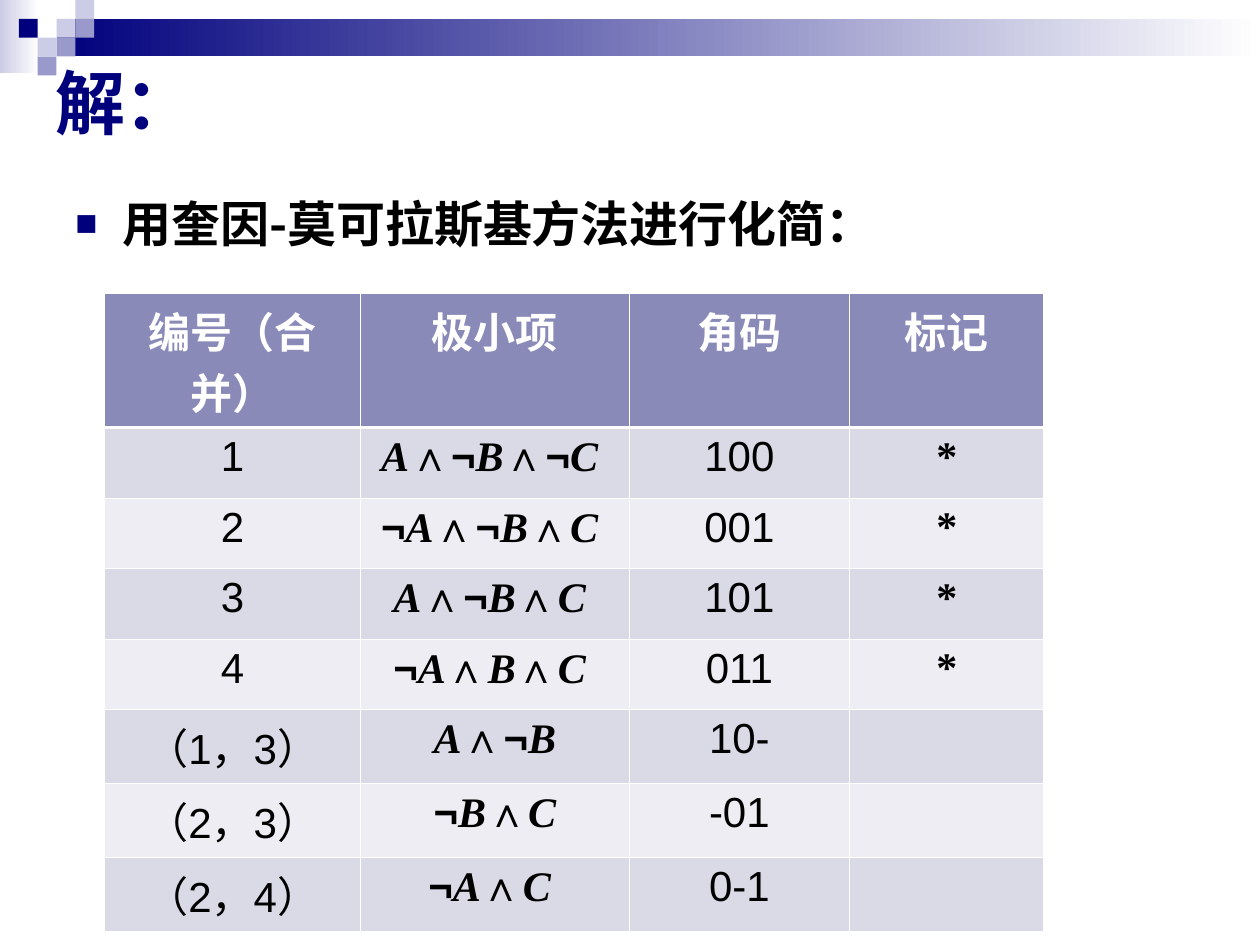
from dataclasses import dataclass
from itertools import groupby

from lxml.etree import SubElement
from pptx import Presentation
from pptx.dml.color import RGBColor
from pptx.enum.shapes import MSO_SHAPE
from pptx.enum.text import MSO_ANCHOR, PP_ALIGN
from pptx.oxml.ns import qn
from pptx.util import Cm, Pt


@dataclass(frozen=True)
class Theme:
    navy: str = "00007D"
    mid: str = "9999CC"
    pale: str = "CCCCE6"
    white: str = "FFFFFF"
    black: str = "000000"
    head: str = "8A8AB9"
    bands: tuple = ("DADAE6", "EDEDF3")
    sans: str = "Arial"
    serif: str = "Times New Roman"
    han: str = "Noto Sans CJK SC"
    title: int = 40
    body: int = 28
    cell: int = 24
    thin: float = 0.45
    thick: float = 1.47


THEME = Theme()
STEP = 0.38  # side of one square in the corner pattern, in cm
SQUARES = [
    (3, 1, THEME.pale), (4, 0, THEME.pale), (4, 1, THEME.mid),
    (2, 2, THEME.pale), (1, 1, THEME.navy), (3, 2, THEME.mid),
    (2, 3, THEME.mid),
]
WIDTHS = [5.16, 5.41, 4.45, 3.91]
HEIGHTS = [2.7] + [1.42] * 4 + [1.49] * 3
HEADS = ["编号（合并）", "极小项", "角码", "标记"]
ROWS = [
    ("1", "A∧¬B∧¬C ", "100", "*"),
    ("2", "¬A∧¬B∧C ", "001", "*"),
    ("3", "A∧¬B∧C ", "101", "*"),
    ("4", "¬A∧B∧C ", "011", "*"),
    ("（1，3）", "A∧¬B", "10-", ""),
    ("（2，3）", "¬B∧C", "-01", ""),
    ("（2，4）", "¬A∧C ", "0-1", ""),
]


def rgb(code):
    return RGBColor.from_string(code)


def add_rect(slide, left, top, width, height, *tones):
    """Add a plain rectangle for one tone, or a left-to-right gradient for two."""
    rect = slide.shapes.add_shape(
        MSO_SHAPE.RECTANGLE, Cm(left), Cm(top), Cm(width), Cm(height))
    rect.shadow.inherit = False
    rect.line.fill.background()
    if len(tones) == 1:
        rect.fill.solid()
        rect.fill.fore_color.rgb = rgb(tones[0])
        return
    rect.fill.gradient()
    rect.fill.gradient_angle = 0
    for stop, tone in zip(rect.fill.gradient_stops, tones):
        stop.color.rgb = rgb(tone)


def add_decor(slide):
    add_rect(slide, 0, 0, 0.79, 1.47, THEME.pale, THEME.white)
    add_rect(slide, 3 * STEP, STEP, 25.4 - 3 * STEP, 2 * STEP,
             THEME.navy, THEME.white)
    for col, row, tone in SQUARES:
        add_rect(slide, col * STEP, row * STEP, STEP, STEP, tone)


def set_face(font, latin, asian):
    font.name = latin
    SubElement(font._element, qn("a:ea"), typeface=asian)


def style(para, size, color, bold, latin, asian=THEME.han):
    font = para.font
    font.size, font.bold = Pt(size), bold
    font.color.rgb = rgb(color)
    set_face(font, latin, asian)


def add_text(slide, text, left, top, width, height, anchor):
    box = slide.shapes.add_textbox(Cm(left), Cm(top), Cm(width), Cm(height))
    frame = box.text_frame
    frame.word_wrap = True
    frame.vertical_anchor = anchor
    para = frame.paragraphs[0]
    para.text = text
    return para


def add_bullet(para):
    props = para._p.get_or_add_pPr()
    indent = Cm(0.95)
    props.set("marL", str(indent))
    props.set("indent", str(-indent))
    tint = SubElement(props, qn("a:buClr"))
    SubElement(tint, qn("a:srgbClr"), val=THEME.navy)
    SubElement(props, qn("a:buSzPct"), val="75000")
    SubElement(props, qn("a:buFont"), typeface=THEME.sans)
    SubElement(props, qn("a:buChar"), char="■")


def add_edges(cell, row):
    props = cell._tc.get_or_add_tcPr()
    top = THEME.thick if row == 1 else THEME.thin
    low = THEME.thick if row == 0 else THEME.thin
    sides = {"L": THEME.thin, "R": THEME.thin, "T": top, "B": low}
    for side, width in sides.items():
        line = SubElement(props, qn("a:ln" + side), w=str(Pt(width)))
        fill = SubElement(line, qn("a:solidFill"))
        SubElement(fill, qn("a:srgbClr"), val=THEME.white)


def kind(char):
    return char if char in "¬∧" else "var"


def add_term(para, text):
    """Write a minterm with italic variables and upright operators."""
    for sort, chars in groupby(text, kind):
        run = para.add_run()
        run.text = "".join(chars)
        run.font.italic = sort == "var"
        face = THEME.sans if sort == "¬" else THEME.serif
        set_face(run.font, face, face)


def fill_cell(cell, row, col, text):
    add_edges(cell, row)
    cell.fill.solid()
    tone = THEME.bands[(row - 1) % 2] if row else THEME.head
    cell.fill.fore_color.rgb = rgb(tone)
    para = cell.text_frame.paragraphs[0]
    para.alignment = PP_ALIGN.CENTER
    if row and col == 1:
        add_term(para, text)
    elif text:
        para.text = text
    color = THEME.black if row else THEME.white
    serif = row > 0 and col in (1, 3)
    style(para, THEME.cell, color, row == 0 or serif,
          THEME.serif if serif else THEME.sans)


def add_grid(slide):
    data = [HEADS, *ROWS]
    frame = slide.shapes.add_table(
        len(data), len(HEADS), Cm(2.11), Cm(5.92),
        Cm(sum(WIDTHS)), Cm(sum(HEIGHTS)))
    table = frame.table
    for col, width in zip(table.columns, WIDTHS):
        col.width = Cm(width)
    for row, height in zip(table.rows, HEIGHTS):
        row.height = Cm(height)
    for row, texts in enumerate(data):
        for col, text in enumerate(texts):
            fill_cell(table.cell(row, col), row, col, text)


def main():
    deck = Presentation()
    deck.slide_width, deck.slide_height = Cm(25.4), Cm(19.05)
    slide = deck.slides.add_slide(deck.slide_layouts[6])
    add_decor(slide)
    lead = add_text(slide, "用奎因-莫可拉斯基方法进行化简：",
                    1.27, 3.78, 22.86, 2.03, MSO_ANCHOR.TOP)
    add_bullet(lead)
    style(lead, THEME.body, THEME.black, True, THEME.han)
    title = add_text(slide, "解：", 0.86, 0.53, 22.23, 3.05, MSO_ANCHOR.MIDDLE)
    style(title, THEME.title, THEME.navy, True, THEME.han)
    add_grid(slide)
    deck.save("out.pptx")


if __name__ == "__main__":
    main()
